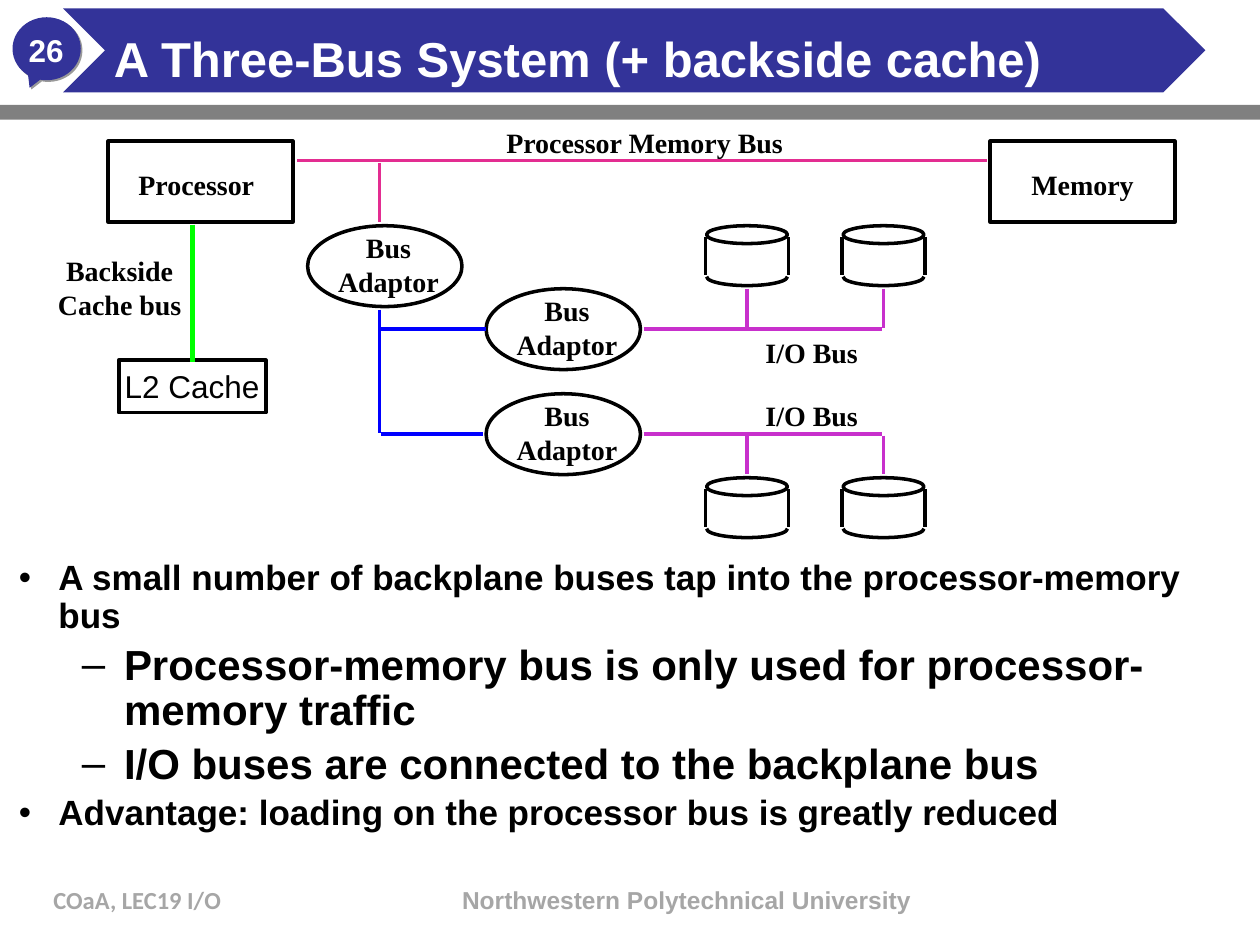
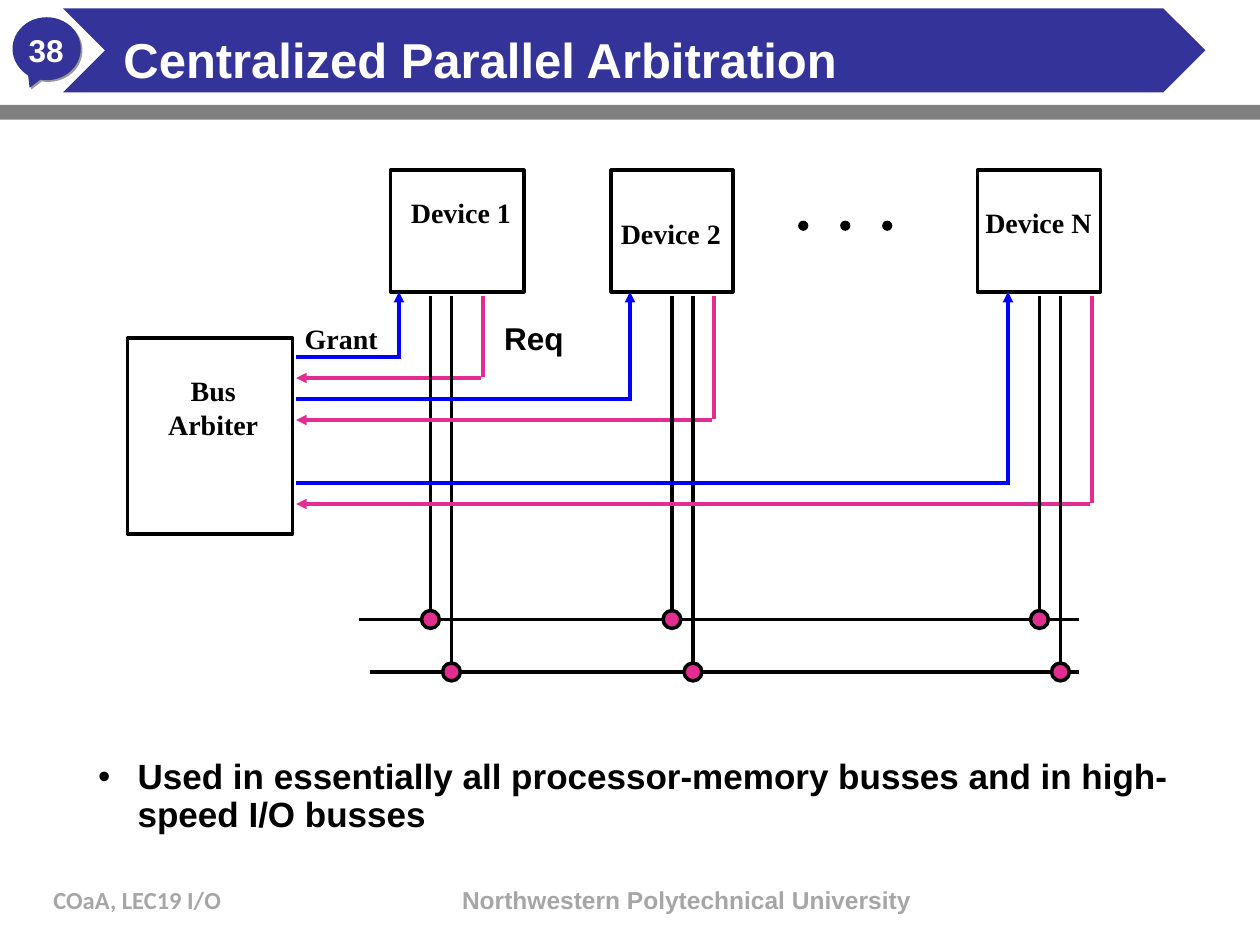
from dataclasses import dataclass
from typing import NamedTuple

from lxml import etree
from pptx import Presentation
from pptx import util as u
from pptx.dml.color import RGBColor
from pptx.enum import shapes, text
from pptx.oxml.ns import qn

# The slide is a grid of 120 columns by 90 rows
COLS, ROWS = 120, 90
CELL = 76200

COLORS = {
    "navy": "333399", "band": "808080", "shadow": "999999", "footer": "A6A6A6",
    "white": "FFFFFF", "black": "000000", "pink": "E32D91", "blue": "0000FF",
    "violet": "C830CC", "green": "00FF00",
}
SHAPE = shapes.MSO_SHAPE
ALIGN = text.PP_ALIGN
LABEL_INSET, TIGHT_INSET = (1.2, 0.6), (0.36, 0.36)


class Box(NamedTuple):
    col: float
    row: float
    cols: float
    rows: float


class Wire(NamedTuple):
    x1: float
    y1: float
    x2: float
    y2: float
    color: str = "black"
    width: float = 2
    arrow: bool = False


@dataclass(frozen=True)
class Font:
    size: float
    color: str = "black"
    name: str = "Arial"
    bold: bool = True


class Label(NamedTuple):
    box: Box
    lines: tuple[str, ...]
    font: Font = Font(16, name="Times New Roman")
    align: ALIGN = ALIGN.CENTER


class Bullet(NamedTuple):
    words: str
    level: int = 0


class BulletStyle(NamedTuple):
    size: float
    margin: float
    hang: float
    mark: str


BULLETS = (BulletStyle(20, 3.75, 3.75, "•"), BulletStyle(24, 10, 4, "–"))


def cells(n: float) -> u.Emu:
    return u.Emu(round(n * CELL))


def rgb(name: str) -> RGBColor:
    return RGBColor.from_string(COLORS[name])


def add_run(p, words: str, font: Font) -> None:
    r = p.add_run()
    r.text = words
    r.font.size, r.font.name, r.font.bold = u.Pt(font.size), font.name, font.bold
    r.font.color.rgb = rgb(font.color)


def add_shape(s, kind, box: Box, fill: str = "", line: str = "", width: float = 2):
    sp = s.shapes.add_shape(kind, *map(cells, box))
    sp.shadow.inherit = False
    if fill:
        sp.fill.solid()
        sp.fill.fore_color.rgb = rgb(fill)
    else:
        sp.fill.background()
    if line:
        sp.line.color.rgb = rgb(line)
        sp.line.width = u.Pt(width)
    else:
        sp.line.fill.background()
    return sp


def add_wire(s, wire: Wire) -> None:
    ends = map(cells, wire[:4])
    cx = s.shapes.add_connector(shapes.MSO_CONNECTOR.STRAIGHT, *ends)
    cx.line.color.rgb = rgb(wire.color)
    cx.line.width = u.Pt(wire.width)
    if wire.arrow:
        etree.SubElement(cx.line._get_or_add_ln(), qn("a:tailEnd"), type="triangle")
    etree.SubElement(cx._element.spPr, qn("a:effectLst"))


def add_frame(s, box: Box, inset: tuple[float, float], wrap: bool):
    tf = s.shapes.add_textbox(*map(cells, box)).text_frame
    tf.word_wrap = wrap
    tf.auto_size = text.MSO_AUTO_SIZE.NONE
    tf.margin_left = tf.margin_right = cells(inset[0])
    tf.margin_top = tf.margin_bottom = cells(inset[1])
    return tf


def add_label(s, label: Label, inset: tuple[float, float] = LABEL_INSET) -> None:
    tf = add_frame(s, label.box, inset, wrap=False)
    for i, words in enumerate(label.lines):
        p = tf.add_paragraph() if i else tf.paragraphs[0]
        p.alignment = label.align
        add_run(p, words, label.font)


def add_bullets(s, box: Box, bullets: list[Bullet]) -> None:
    tf = add_frame(s, box, TIGHT_INSET, wrap=True)
    for i, bullet in enumerate(bullets):
        style = BULLETS[bullet.level]
        p = tf.add_paragraph() if i else tf.paragraphs[0]
        p.level = bullet.level
        p.line_spacing = 0.9
        p.space_before = u.Pt(0.2 * style.size)
        pPr = p._p.get_or_add_pPr()
        pPr.set("marL", str(cells(style.margin)))
        pPr.set("indent", str(-cells(style.hang)))
        etree.SubElement(pPr, qn("a:buFont"), typeface="Arial")
        etree.SubElement(pPr, qn("a:buChar"), char=style.mark)
        add_run(p, bullet.words, Font(style.size))


def add_base(prs, number: int, title: str, title_box: Box):
    """Blank slide with the number callout, bands, title and footers."""
    s = prs.slides.add_slide(prs.slide_layouts[6])
    callout = add_shape(s, SHAPE.OVAL_CALLOUT, Box(1.2, 1.65, 6.5, 6), "navy")
    callout.adjustments[0], callout.adjustments[1] = -0.25, 0.62
    effects = callout._element.spPr.find(qn("a:effectLst"))
    shadow = etree.SubElement(effects, qn("a:outerShdw"), dist=str(u.Pt(1.4)),
                              dir=str(45 * 60000), algn="ctr", rotWithShape="0")
    etree.SubElement(shadow, qn("a:srgbClr"), val=COLORS["shadow"])
    add_shape(s, SHAPE.RECTANGLE, Box(0, 10, COLS, 1.4), "band")
    add_shape(s, SHAPE.CHEVRON, Box(6, 0.8, 108.8, 8), "navy")
    add_label(s, Label(Box(1.9, 2.4, 5, 4.8), (str(number),), Font(18, "white")),
              (0.6, 0.6))

    # Title and footers
    for box, words, font, align, inset, spacing in (
        (title_box, title, Font(28, "white"), ALIGN.LEFT, TIGHT_INSET, 0.9),
        (Box(3.9, 83.7, 25, 6), "COaA, LEC19 I/O", Font(14, "footer", "Calibri"),
         ALIGN.LEFT, LABEL_INSET, 1.0),
        (Box(41.9, 83.7, 47, 6), "Northwestern Polytechnical University",
         Font(14, "footer"), ALIGN.CENTER, LABEL_INSET, 1.0),
    ):
        p = add_frame(s, box, inset, wrap=True).paragraphs[0]
        p.alignment, p.line_spacing = align, spacing
        add_run(p, words, font)
    return s


def add_disk(s, col: float, row: float) -> None:
    add_shape(s, SHAPE.OVAL, Box(col, row, 7.7, 1.7), line="black")
    bottom = add_shape(s, SHAPE.ARC, Box(col, row + 4, 7.7, 1.7), line="black")
    bottom.adjustments[0], bottom.adjustments[1] = 0, 108  # 0 to 180 degrees
    for x in (col - 0.1, col + 7.8):
        add_wire(s, Wire(x, row + 1.1, x, row + 4.7))


def add_adaptor(s, col: float, row: float) -> None:
    add_shape(s, SHAPE.OVAL, Box(col, row, 14.7, 7.7), line="black")
    add_label(s, Label(Box(col + 1.6, row - 0.1, 12.2, 7.6), ("Bus", "Adaptor")))


def three_bus_slide(prs) -> None:
    s = add_base(prs, 26, "A Three-Bus System (+ backside cache)",
                 Box(10.5, 3, 97.5, 4.8))
    add_bullets(s, Box(1.45, 53, 116.5, 19.2), [
        Bullet("A small number of backplane buses tap into the processor-memory bus"),
        Bullet("Processor-memory bus is only used for processor-memory traffic", 1),
        Bullet("I/O buses are connected to the backplane bus", 1),
        Bullet("Advantage: loading on the processor bus is greatly reduced"),
    ])

    # Processor, memory, adaptors and disks
    for col in (10.3, 94.3):
        add_shape(s, SHAPE.RECTANGLE, Box(col, 13.45, 17.6, 7.7), line="black")
    for col, row in ((29.3, 21.5), (46.3, 27.5), (46.3, 37.5)):
        add_adaptor(s, col, row)
    disk_cols = (67.3, 80.3)
    for row in (21.5, 45.5):
        for col in disk_cols:
            add_disk(s, col, row)

    # Buses
    wires = [
        Wire(28.3, 15.3, 94, 15.3, "pink"),
        Wire(36.15, 15.5, 36.15, 21.1, "pink"),
        Wire(36.15, 29.5, 36.15, 41.2, "blue"),
        Wire(36, 31.35, 46.3, 31.35, "blue"),
        Wire(36.3, 41.35, 46, 41.35, "blue"),
    ]
    for bus_row, drop_start, drop_end in ((31.35, 27.5, 31.2), (41.35, 41.5, 45.1)):
        wires.append(Wire(61.3, bus_row, 84, bus_row, "violet"))
        wires += [Wire(col + 3.85, drop_start, col + 3.85, drop_end, "violet")
                  for col in disk_cols]
    for wire in wires:
        add_wire(s, wire)

    for label in (
        Label(Box(11.9, 15.4, 13.6, 4.3), ("Processor",)),
        Label(Box(96.9, 15.4, 12.4, 4.3), ("Memory",)),
        Label(Box(46.9, 11.4, 29, 4.3), ("Processor Memory Bus",)),
        Label(Box(71.6, 31.4, 11.4, 4.3), ("I/O Bus",)),
        Label(Box(71.6, 37.4, 11.4, 4.3), ("I/O Bus",)),
        Label(Box(4.2, 23.55, 14.4, 7.6), ("Backside", "Cache bus")),
    ):
        add_label(s, label)

    # Backside cache
    cache = add_shape(s, SHAPE.RECTANGLE, Box(11.3, 34.3, 14, 5), line="black", width=2.25)
    tf = cache.text_frame
    tf.word_wrap, tf.vertical_anchor = False, text.MSO_ANCHOR.MIDDLE
    tf.paragraphs[0].alignment = ALIGN.CENTER
    add_run(tf.paragraphs[0], "L2 Cache", Font(18, bold=False))
    add_wire(s, Wire(18.35, 21.4, 18.35, 34.5, "green", 3))


class Device(NamedTuple):
    box: Box
    label: Label
    grant_col: float
    grant_row: float
    data_col: float


def device(name: str, col: float, cols: float, label: Box, *lines: float) -> Device:
    return Device(Box(col, 16.2, cols, 11.6), Label(label, (name,)), *lines)


def arbitration_slide(prs) -> None:
    s = add_base(prs, 38, "Centralized Parallel Arbitration",
                 Box(11.4, 3.1, 81.7, 4.8))
    add_bullets(s, Box(9, 72, 103, 7.4), [
        Bullet("Used in essentially all processor-memory busses and in high-speed "
               "I/O busses")])

    # Arbiter and line names
    add_shape(s, SHAPE.RECTANGLE, Box(12.15, 32.2, 15.7, 18.65), line="black")
    for label in (
        Label(Box(14.7, 35, 11.2, 7.6), ("Bus", "Arbiter")),
        Label(Box(27.7, 30, 9.6, 4.3), ("Grant",)),
        Label(Box(46.7, 29.75, 8.3, 4.8), ("Req",), Font(18)),
    ):
        add_label(s, label)

    # Shared data lines
    data_rows = (59, 64)
    for i, row in enumerate(data_rows):
        add_wire(s, Wire(34.2 + i, row, 102.8, row))

    # Devices, each with a grant, a request and two data taps
    left, top = 28.2, 28.2
    for d in (
        device("Device 1", 37.2, 12.7, Box(37.8, 18, 12.2, 4.3), 38, 34, 41),
        device("Device 2", 58.2, 11.6, Box(57.8, 20, 12.2, 4.3), 60, 38, 64),
        device("Device N", 93.1, 11.7, Box(91.8, 19, 14.2, 4.3), 96, 46, 99),
    ):
        add_shape(s, SHAPE.RECTANGLE, d.box, line="black")
        add_label(s, d.label)
        req_col, req_row = d.grant_col + 8, d.grant_row + 2
        add_wire(s, Wire(left, d.grant_row, d.grant_col, d.grant_row, "blue"))
        add_wire(s, Wire(d.grant_col, d.grant_row + 0.2, d.grant_col, 27.8, "blue",
                         arrow=True))
        add_wire(s, Wire(req_col - 0.2, req_row, left, req_row, "pink", arrow=True))
        add_wire(s, Wire(req_col, top, req_col, req_row - 0.1, "pink"))
        for i, row in enumerate(data_rows):
            col = d.data_col + 2 * i
            add_wire(s, Wire(col, top, col, row - 0.2))
            add_shape(s, SHAPE.OVAL, Box(col - 0.85, row - 0.85, 1.7, 1.7), "pink", "black")

    # Dots for the devices in between
    for i in range(3):
        add_shape(s, SHAPE.OVAL, Box(76.1 + 4 * i, 21.1, 0.8, 0.8), "black", "black", 1)


def main() -> None:
    prs = Presentation()
    prs.slide_width, prs.slide_height = cells(COLS), cells(ROWS)
    three_bus_slide(prs)
    arbitration_slide(prs)
    prs.save("out.pptx")


if __name__ == "__main__":
    main()
